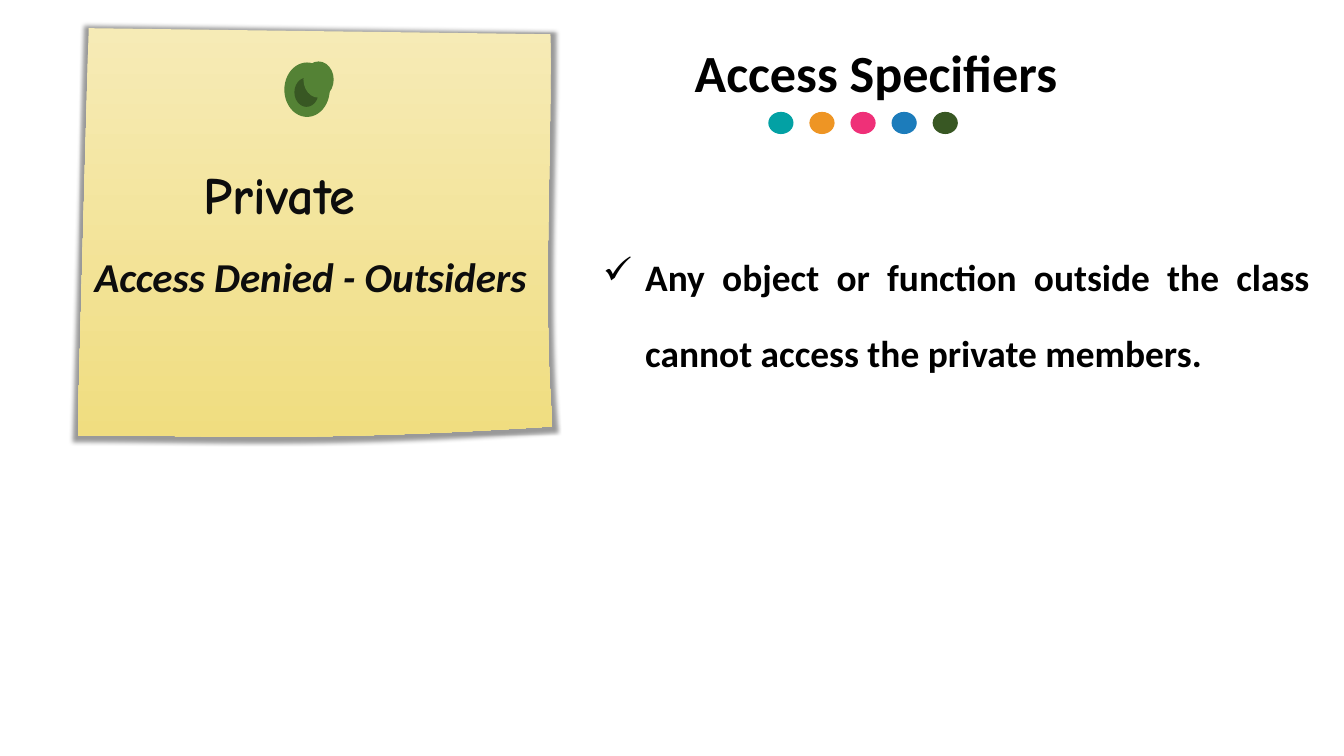
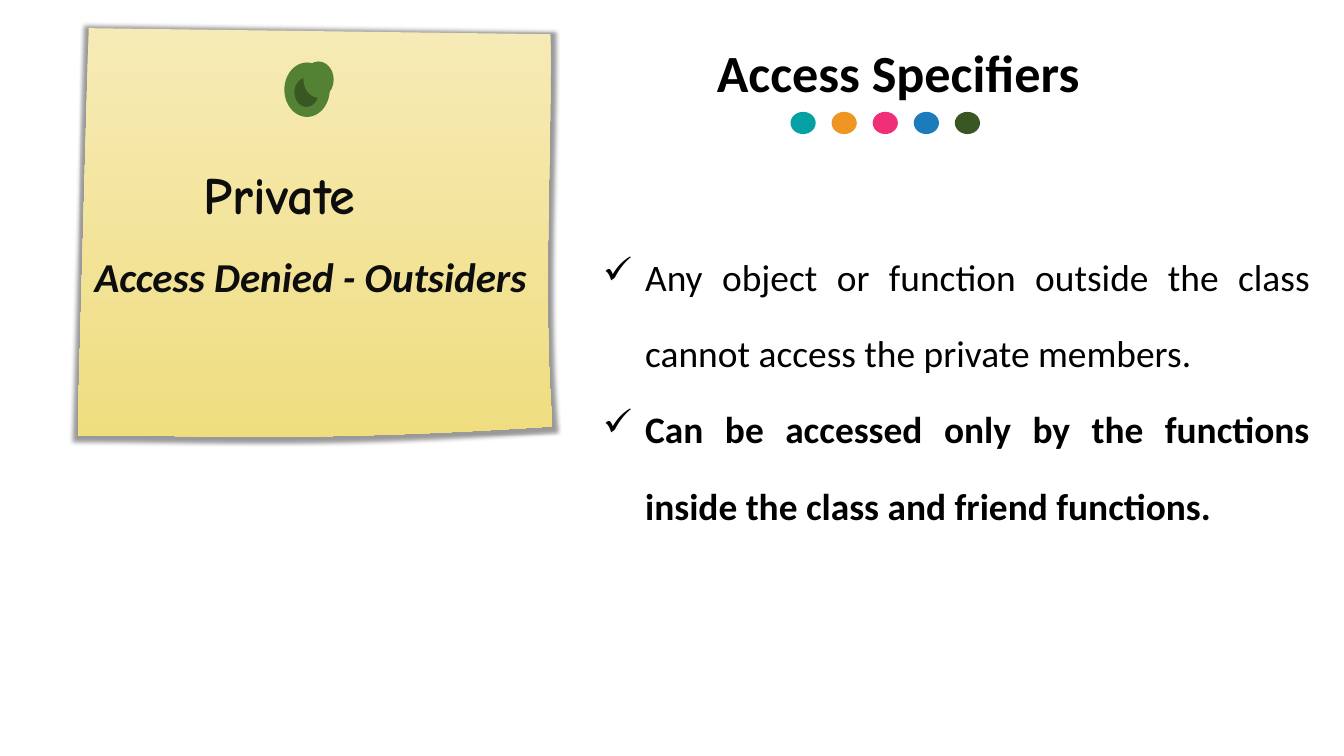
"""Build two slides on private access, each with a pinned note, a title and checked points."""
from lxml import etree
from pptx import Presentation
from pptx.dml.color import RGBColor
from pptx.enum.shapes import MSO_SHAPE as Shape
from pptx.enum.text import MSO_ANCHOR as Anchor, MSO_AUTO_SIZE as Auto, PP_ALIGN as Align
from pptx.oxml.ns import qn
from pptx.util import Inches, Pt

INK, BLACK = "0D0D0D", "000000"
LEAF, MOSS = "548235", "385723"
DOTS = ["03A1A4", "EE9524", "EF3078", "1C7CBB", MOSS]
PIN = [(2.82, 0.62, 0.45, 0.54, LEAF), (2.92, 0.77, 0.24, 0.29, MOSS), (3.01, 0.61, 0.3, 0.36, LEAF)]
CURVES = [
    [(5.46, 0.34), (5.47, 1.65), (5.38, 3.03), (5.48, 4.23)],
    [(5.48, 4.23), (3.15, 4.38), (2.34, 4.32), (0.77, 4.32)],
]
LABELS = [
    ("Private", (1.92, 1.56, 2.48, 0.73), 37.3, "Comic Neue", False),
    ("Access Denied - Outsiders", (0.84, 2.44, 4.64, 0.59), 29.3, "Calibri", True),
]
OUTSIDE = "Any object or function outside the class cannot access the private members."
INSIDE = "Can be accessed only by the functions inside the class and friend functions."
PAGES = [
    (6.04, 1.54, [(OUTSIDE, True)]),
    (6.26, 3.06, [(OUTSIDE, False), (INSIDE, True)]),
]
STEPS = 24


def rgb(tone):
    return RGBColor.from_string(tone)


def write(para, text, size, face, tone, bold=True, slant=False):
    run = para.add_run()
    run.text = text
    font = run.font
    font.size, font.name, font.bold, font.italic = Pt(size), face, bold, slant
    font.color.rgb = rgb(tone)


deck = Presentation()
deck.slide_width, deck.slide_height = Inches(13.33), Inches(7.5)

edge = [(5.46, 0.34)]
for curve in CURVES:
    for step in range(1, STEPS + 1):
        t = step / STEPS
        parts = ((1 - t) ** 3, 3 * t * (1 - t) ** 2, 3 * t * t * (1 - t), t ** 3)
        edge.append(tuple(sum(w * p[axis] for w, p in zip(parts, curve)) for axis in (0, 1)))

for left, height, points in PAGES:
    slide = deck.slides.add_slide(deck.slide_layouts[5])
    shapes = slide.shapes

    title = shapes.title
    title.left, title.top, title.width, title.height = map(Inches, (left, 0.35, 5.3, 0.73))
    frame = title.text_frame
    frame.auto_size, frame.vertical_anchor = Auto.NONE, Anchor.TOP
    para = frame.paragraphs[0]
    para.alignment = Align.CENTER
    write(para, "Access Specifiers", 37.3, "Calibri", BLACK)

    form = shapes.build_freeform(Inches(0.88), Inches(0.28), scale=1.0)
    form.add_line_segments([(Inches(x), Inches(y)) for x, y in edge], close=True)
    note = form.convert_to_shape()
    note.line.fill.background()
    note.fill.gradient()
    note.fill.gradient_angle = 270
    for stop, tone in zip(note.fill.gradient_stops, ("F6EBB6", "F0DD80")):
        stop.color.rgb = rgb(tone)
    note.shadow.inherit = False
    effects = note._element.spPr.find(qn("a:effectLst"))
    shade = etree.SubElement(effects, qn("a:outerShdw"), blurRad=str(Pt(3)), dist=str(Pt(1)),
                             dir="5400000", sx="102000", sy="102000", algn="ctr", rotWithShape="0")
    color = etree.SubElement(shade, qn("a:srgbClr"), val=BLACK)
    etree.SubElement(color, qn("a:alpha"), val="40000")

    dots = [(left + 1.58 + 0.4075 * i, 1.11, 0.25, 0.22, tone) for i, tone in enumerate(DOTS)]
    for *box, tone in PIN + dots:
        oval = shapes.add_shape(Shape.OVAL, *map(Inches, box))
        oval.shadow.inherit = False
        oval.fill.solid()
        oval.fill.fore_color.rgb = rgb(tone)
        oval.line.fill.background()

    for text, box, size, face, slant in LABELS:
        frame = shapes.add_textbox(*map(Inches, box)).text_frame
        frame.word_wrap, frame.vertical_anchor = True, Anchor.MIDDLE
        write(frame.paragraphs[0], text, size, face, INK, slant=slant)

    frame = shapes.add_textbox(*map(Inches, (5.88, 2.16, 7.22, height))).text_frame
    frame.word_wrap = True
    for i, (text, bold) in enumerate(points):
        para = frame.add_paragraph() if i else frame.paragraphs[0]
        para.alignment, para.line_spacing = Align.JUSTIFY, 1.7
        props = para._p.get_or_add_pPr()
        props.set("marL", str(Inches(0.42)))
        props.set("indent", str(Inches(-0.42)))
        etree.SubElement(props, qn("a:buChar"), char="\u2713")
        write(para, text, 26.7, "Calibri", BLACK, bold)

deck.save("out.pptx")
